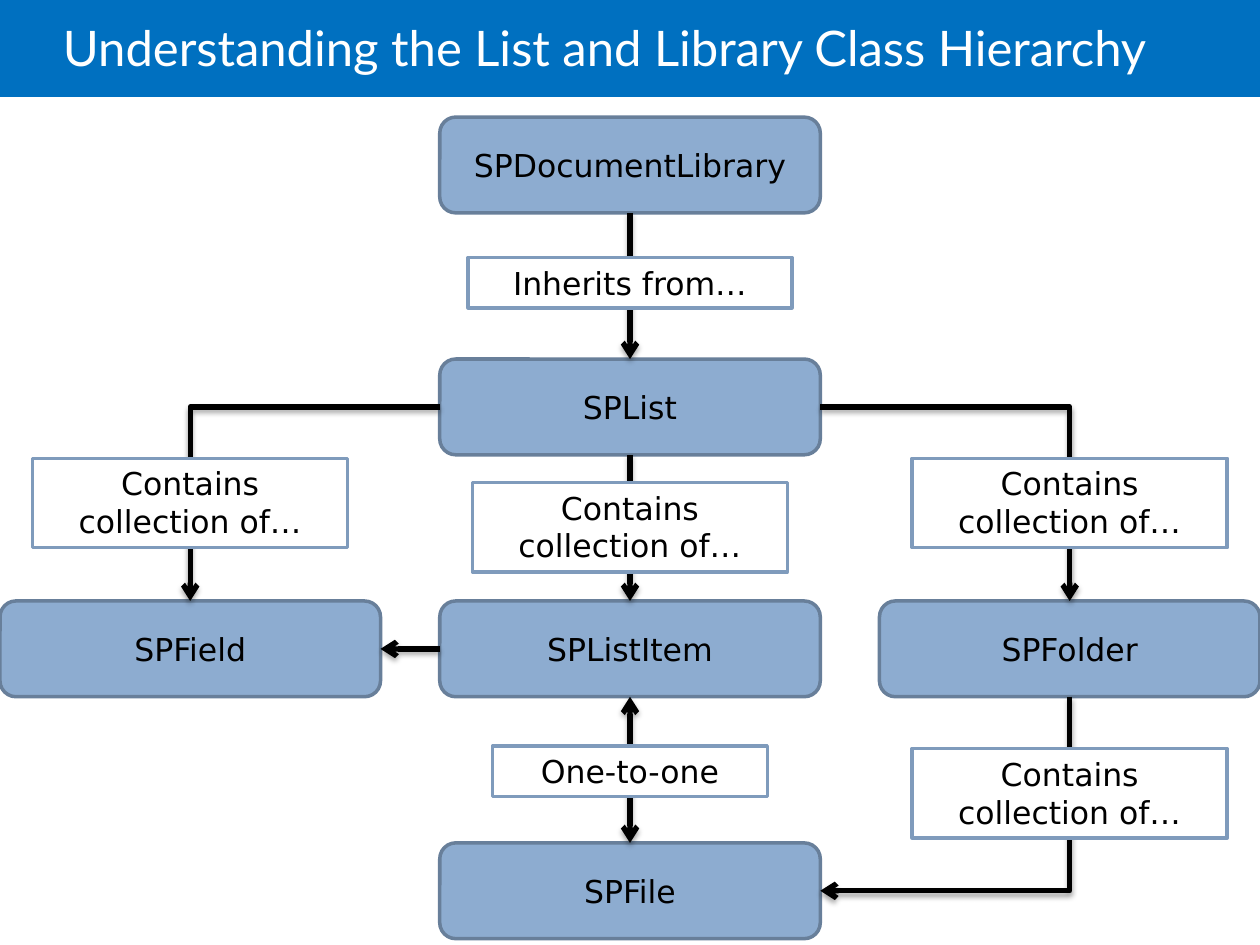
from lxml import etree
from pptx import Presentation
from pptx.dml.color import RGBColor
from pptx.enum.shapes import MSO_CONNECTOR, MSO_SHAPE
from pptx.enum.text import MSO_ANCHOR, MSO_AUTO_SIZE, PP_ALIGN
from pptx.oxml import parse_xml
from pptx.oxml.ns import qn
from pptx.util import Inches, Pt

RECT, ROUND = MSO_SHAPE.RECTANGLE, MSO_SHAPE.ROUNDED_RECTANGLE
STRAIGHT, ELBOW = MSO_CONNECTOR.STRAIGHT, MSO_CONNECTOR.ELBOW
ANCHOR_TOP, MIDDLE = MSO_ANCHOR.TOP, MSO_ANCHOR.MIDDLE
CENTER, LEFT = PP_ALIGN.CENTER, PP_ALIGN.LEFT
GROW = MSO_AUTO_SIZE.SHAPE_TO_FIT_TEXT

TOP, WEST, BOTTOM, EAST = range(4)  # connection sites of a box
COL, ROW, FIRST_ROW = 3.49, 1.92, 0.93
BOX_W, BOX_H = 3.02, 0.76

COLORS = {
    "band": "0070C0", "box": "8DACD0", "box_line": "687F9A",
    "label": "FFFFFF", "label_line": "7F9BBC",
    "text": "000000", "title": "FFFFFF", "arrow": "000000",
}
SHADOW = (
    '<a:effectLst xmlns:a="http://schemas.openxmlformats.org/drawingml/2006/main">'
    '<a:outerShdw blurRad="39370" dist="22860" dir="5400000" rotWithShape="0">'
    '<a:srgbClr val="000000"><a:alpha val="35000"/></a:srgbClr>'
    '</a:outerShdw></a:effectLst>'
)


def rgb(name):
    return RGBColor.from_string(COLORS[name])


class Diagram:
    """Holds the style and the slide; places things by grid column and row."""

    font, title_font = "DejaVu Sans", "Lato"

    def __init__(self, slide):
        self.s = slide

    def shape(self, kind, x, y, w, h, fill, line=None):
        sp = self.s.shapes.add_shape(kind, *map(Inches, (x, y, w, h)))
        sp.shadow.inherit = False
        sp.fill.solid()
        sp.fill.fore_color.rgb = rgb(fill)
        if line:
            sp.line.color.rgb = rgb(line)
            sp.line.width = Pt(2)
        else:
            sp.line.fill.background()
        return sp

    def add_text(self, tf, text, size=18, font=font, color="text", align=CENTER):
        tf.word_wrap = True
        p = tf.paragraphs[0]
        p.alignment = align
        r = p.add_run()
        r.text = text
        r.font.size, r.font.name = Pt(size), font
        r.font.color.rgb = rgb(color)
        return p

    def title(self, text):
        self.shape(RECT, 0, 0, 10, 0.77, "band")
        tf = self.s.shapes.add_textbox(
            Inches(0.5), 0, Inches(9.5), Inches(0.81)).text_frame
        tf.margin_left, tf.vertical_anchor = 0, MIDDLE
        p = self.add_text(tf, text, 28, self.title_font, "title", LEFT)
        p.line_spacing = 0.85

    def box(self, text, col, row):
        sp = self.shape(ROUND, col * COL, FIRST_ROW + row * ROW,
                        BOX_W, BOX_H, "box", "box_line")
        tf = sp.text_frame
        tf.margin_left = tf.margin_right = Inches(0.2)
        tf.vertical_anchor = MIDDLE
        self.add_text(tf, text)
        return sp

    def label(self, text, col, row, w=2.5, h=0.71):
        """Centres a relation label on a column, its top at a share of the rows."""
        x = col * COL + (BOX_W - w) / 2
        sp = self.shape(RECT, x, FIRST_ROW + row * ROW, w, h, "label", "label_line")
        tf = sp.text_frame
        tf.vertical_anchor = ANCHOR_TOP
        self.add_text(tf, text)
        tf.auto_size = GROW

    def arrow(self, start, start_site, end, end_site, both=False, bent=False):
        cx = self.s.shapes.add_connector(ELBOW if bent else STRAIGHT, 0, 0, 0, 0)
        cx.begin_connect(start, start_site)
        cx.end_connect(end, end_site)
        if bent:
            self.bend_once(cx, start_site == BOTTOM)
        cx.line.color.rgb = rgb("arrow")
        cx.line.width = Pt(3)
        sppr = cx._element.spPr
        ln = sppr.find(qn("a:ln"))
        for tag in ("a:headEnd", "a:tailEnd") if both else ("a:tailEnd",):
            etree.SubElement(ln, qn(tag), type="arrow")
        sppr.append(parse_xml(SHADOW))

    def bend_once(self, cx, down_first):
        """Gives the connector one corner; down_first runs down, then left."""
        sppr = cx._element.spPr
        sppr.find(qn("a:prstGeom")).set("prst", "bentConnector2")
        if down_first:
            mid_x, mid_y = cx.left + cx.width // 2, cx.top + cx.height // 2
            cx.width, cx.height = cx.height, cx.width
            cx.left, cx.top = mid_x - cx.width // 2, mid_y - cx.height // 2
            xfrm = sppr.find(qn("a:xfrm"))
            xfrm.attrib.pop("flipH", None)
            xfrm.set("rot", "5400000")


def main():
    prs = Presentation()
    prs.slide_width, prs.slide_height = Inches(10), Inches(7.5)
    d = Diagram(prs.slides.add_slide(prs.slide_layouts[6]))
    d.title("Understanding the List and Library Class Hierarchy")

    library = d.box("SPDocumentLibrary", 1, 0)
    sp_list = d.box("SPList", 1, 1)
    field = d.box("SPField", 0, 2)
    item = d.box("SPListItem", 1, 2)
    folder = d.box("SPFolder", 2, 2)
    document = d.box("SPFile", 1, 3)

    d.arrow(library, BOTTOM, sp_list, TOP)
    d.arrow(sp_list, BOTTOM, item, TOP)
    d.arrow(item, BOTTOM, document, TOP, both=True)
    d.arrow(item, WEST, field, EAST)
    d.arrow(sp_list, WEST, field, TOP, bent=True)
    d.arrow(sp_list, EAST, folder, TOP, bent=True)
    d.arrow(folder, BOTTOM, document, EAST, bent=True)

    d.label("Inherits from…", 1, 0.58, 2.57, 0.4)
    d.label("One-to-one", 1, 2.6, 2.18, 0.4)
    for col, row in ((0, 1.41), (1, 1.51), (2, 1.41), (2, 2.61)):
        d.label("Contains collection of…", col, row)

    prs.save("out.pptx")


if __name__ == "__main__":
    main()
